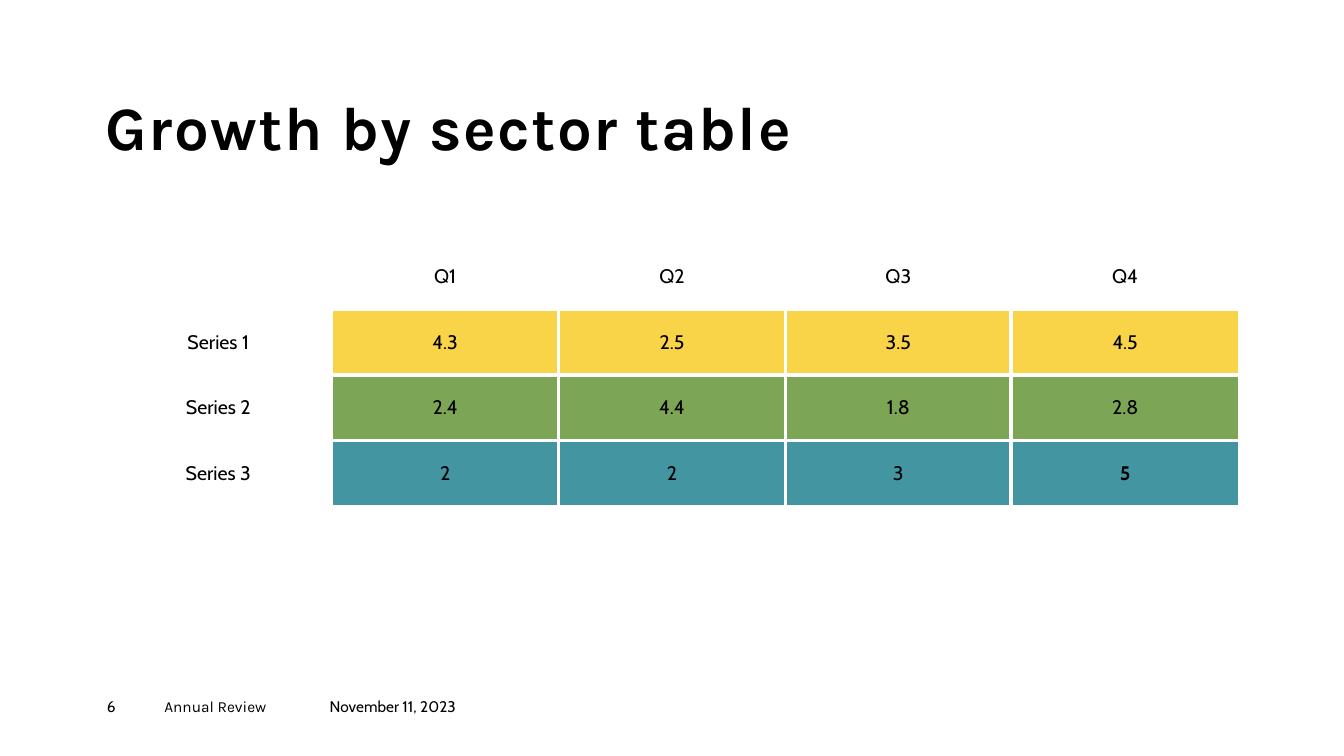
from lxml import etree
from pptx import Presentation
from pptx.dml.color import RGBColor
from pptx.enum.text import MSO_ANCHOR, PP_ALIGN
from pptx.oxml.ns import qn
from pptx.util import Inches, Pt

TOP, MIDDLE, BOTTOM = MSO_ANCHOR.TOP, MSO_ANCHOR.MIDDLE, MSO_ANCHOR.BOTTOM
CENTER = PP_ALIGN.CENTER

BLACK = RGBColor(0x00, 0x00, 0x00)
WHITE = RGBColor(0xFF, 0xFF, 0xFF)
YELLOW = RGBColor(0xF9, 0xD4, 0x48)
GREEN = RGBColor(0x7C, 0xA6, 0x55)
TEAL = RGBColor(0x44, 0x95, 0xA2)

HEADING_FONT, BODY_FONT = "Karla", "Cabin"
THIN, MEDIUM, THICK = 1, 2.25, 3

QUARTERS = ["", "Q1", "Q2", "Q3", "Q4"]
SERIES = [
    (["Series 1", "4.3", "2.5", "3.5", "4.5"], YELLOW),
    (["Series 2", "2.4", "4.4", "1.8", "2.8"], GREEN),
    (["Series 3", "2", "2", "3", "5"], TEAL),
]
COLUMN_WIDTHS = [2.25, 2.25, 2.25, 2.24, 2.26]
ROW_HEIGHT = 0.65


def border_widths(row, column):
    """Left, right, top and bottom widths: thick only between data cells."""
    if row == 0:
        return THIN, THIN, THIN, MEDIUM
    if column == 0:
        return (MEDIUM,) * 4
    last_row, last_column = len(SERIES), len(QUARTERS) - 1
    return (
        THICK if column > 1 else MEDIUM,
        THICK if column < last_column else MEDIUM,
        THICK if row > 1 else MEDIUM,
        THICK if row < last_row else MEDIUM,
    )


class ReviewSlide:
    def __init__(self, presentation):
        self.slide = presentation.slides.add_slide(presentation.slide_layouts[6])
        background = self.slide.background.fill
        background.solid()
        background.fore_color.rgb = WHITE

    def run(self, paragraph, text, size, font=BODY_FONT, bold=False):
        run = paragraph.add_run()
        run.text = text
        run.font.name = font
        run.font.size = Pt(size)
        run.font.bold = bold
        run.font.color.rgb = BLACK
        return run

    def text(self, left, top, width, height, text, size, font=BODY_FONT,
             bold=False, anchor=TOP, line_spacing=1.0, tracking=0):
        box = self.slide.shapes.add_textbox(
            Inches(left), Inches(top), Inches(width), Inches(height))
        frame = box.text_frame
        frame.word_wrap = True
        frame.vertical_anchor = anchor
        frame.margin_left = frame.margin_right = 0
        frame.margin_top = frame.margin_bottom = 0
        paragraph = frame.paragraphs[0]
        paragraph.line_spacing = line_spacing
        run = self.run(paragraph, text, size, font, bold)
        if tracking:
            run.font._element.set("spc", str(tracking * 100))

    def borders(self, cell, widths):
        properties = cell._tc.get_or_add_tcPr()
        for side, width in zip("LRTB", widths):
            line = etree.SubElement(properties, qn(f"a:ln{side}"), w=str(Pt(width)))
            fill = etree.SubElement(line, qn("a:solidFill"))
            etree.SubElement(fill, qn("a:srgbClr"), val=str(WHITE))

    def cell(self, cell, text, widths, color=None, bold=False):
        cell.vertical_anchor = MIDDLE
        self.borders(cell, widths)
        if color is None:
            cell.fill.background()
        else:
            cell.fill.solid()
            cell.fill.fore_color.rgb = color
        paragraph = cell.text_frame.paragraphs[0]
        paragraph.alignment = CENTER
        if text:
            self.run(paragraph, text, 14, bold=bold)

    def table(self, left, top, rows):
        table = self.slide.shapes.add_table(
            len(rows), len(COLUMN_WIDTHS), Inches(left), Inches(top),
            Inches(sum(COLUMN_WIDTHS)), Inches(ROW_HEIGHT * len(rows))).table
        table.first_row = table.horz_banding = False
        for column, width in zip(table.columns, COLUMN_WIDTHS):
            column.width = Inches(width)
        for r, (values, color) in enumerate(rows):
            table.rows[r].height = Inches(ROW_HEIGHT)
            for c, value in enumerate(values):
                final_value = r == len(rows) - 1 and c == len(values) - 1
                self.cell(table.cell(r, c), value, border_widths(r, c),
                          color if c else None, bold=final_value)


def main():
    presentation = Presentation()
    presentation.slide_width = Inches(13.33)
    presentation.slide_height = Inches(7.5)
    review = ReviewSlide(presentation)

    # Title
    review.text(1.05, 0.96, 8.27, 0.67, "Growth by sector table", 44,
                HEADING_FONT, bold=True, anchor=BOTTOM, line_spacing=0.9, tracking=1)

    # Growth table
    review.table(1.04, 2.42, [(QUARTERS, None)] + SERIES)

    # Footer: page number, report name, date
    for left, width, text, font in [
        (1.06, 0.57, "6", BODY_FONT),
        (1.63, 1.64, "Annual Review", HEADING_FONT),
        (3.27, 1.44, "November 11, 2023", BODY_FONT),
    ]:
        review.text(left, 6.92, width, 0.27, text, 11, font)

    presentation.save("out.pptx")


if __name__ == "__main__":
    main()
